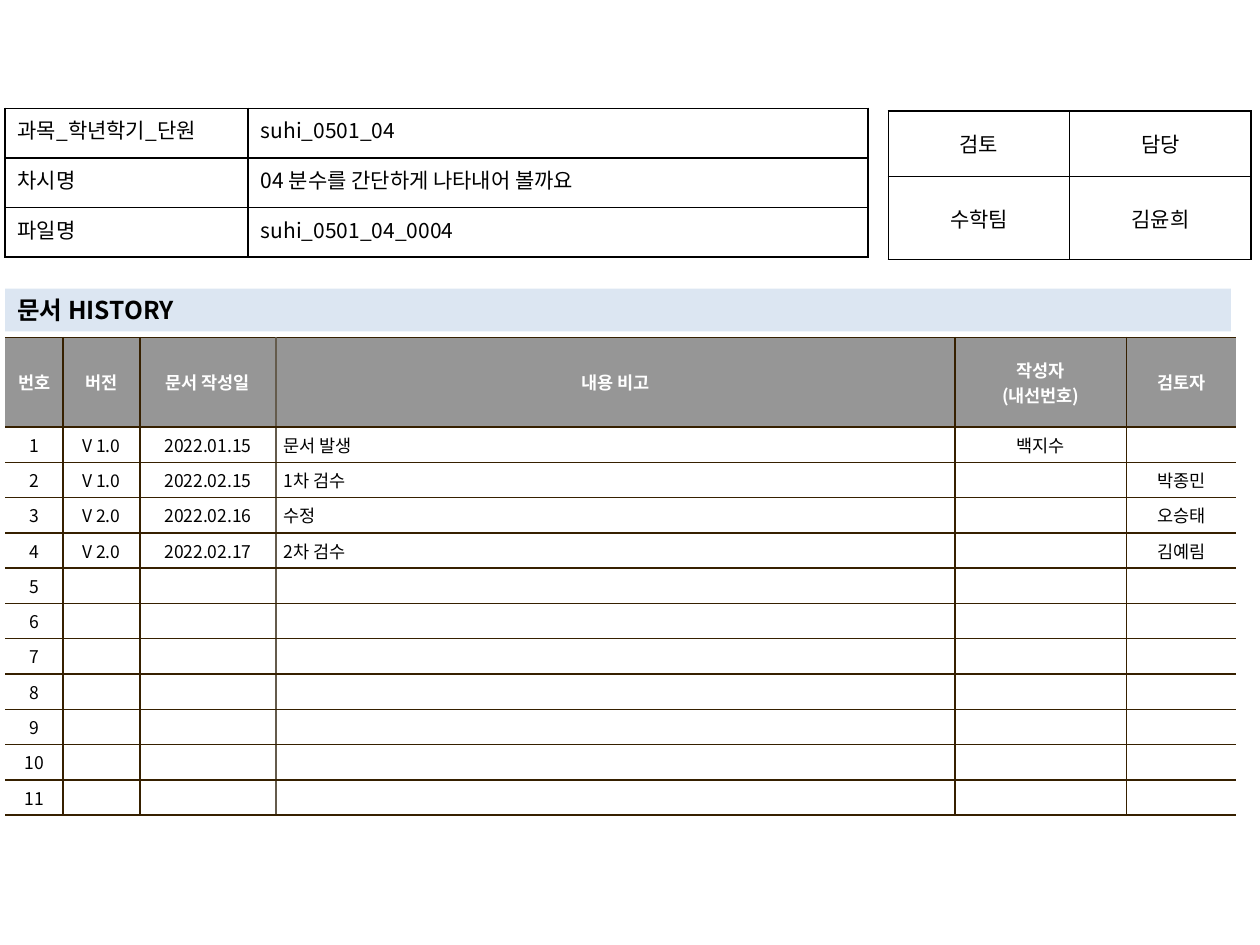
"""Build the document history slide with its title, approval and history tables."""
import dataclasses
import typing

import lxml.etree
import pptx
import pptx.dml.color
import pptx.enum.shapes
import pptx.enum.text
import pptx.oxml.ns
import pptx.util

Inches = pptx.util.Inches
Align = pptx.enum.text.PP_ALIGN
Anchor = pptx.enum.text.MSO_ANCHOR
FONT = "Noto Sans CJK KR"
COLORS = {
    "black": "000000",
    "white": "FFFFFF",
    "gray": "969696",
    "band": "DCE6F2",
    "brown": "362000",
    "taupe": "645B4C",
}


@dataclasses.dataclass
class Grid:
    left: float
    top: float
    cols: list[float]
    rows: list[float]
    cells: list[list[str]]
    aligns: list[typing.Any]
    line: str = "black"
    size: int = 12
    inset: tuple[float, float] = (0.1, 0.05)
    anchor: typing.Any = Anchor.MIDDLE
    fill: str = ""
    head: str = ""
    open: bool = False
    seam: int = -1


def tint(name: str) -> pptx.dml.color.RGBColor:
    return pptx.dml.color.RGBColor.from_string(COLORS[name])


def write(frame, text: str, size: int = 12, color: str = "black",
          bold: bool = False, align=Align.LEFT) -> None:
    for i, line in enumerate(text.split("\n")):
        para = frame.add_paragraph() if i else frame.paragraphs[0]
        para.alignment = align
        if not line:
            tag = pptx.oxml.ns.qn("a:endParaRPr")
            lxml.etree.SubElement(para._p, tag, sz=str(size * 100))
            continue
        run = para.add_run()
        run.text = line
        font = run.font
        font.name, font.size, font.bold = FONT, pptx.util.Pt(size), bold
        font.color.rgb = tint(color)
        tag = pptx.oxml.ns.qn("a:ea")
        lxml.etree.SubElement(font._element, tag, typeface=FONT)


def edge(cell, side: str, color: str) -> None:
    qn = pptx.oxml.ns.qn
    props = cell._tc.get_or_add_tcPr()
    line = lxml.etree.SubElement(props, qn(f"a:ln{side}"), w="12700")
    if color:
        fill = lxml.etree.SubElement(line, qn("a:solidFill"))
        lxml.etree.SubElement(fill, qn("a:srgbClr"), val=COLORS[color])
    else:
        lxml.etree.SubElement(line, qn("a:noFill"))


def border(cell, grid: Grid, col: int) -> None:
    last = len(grid.cols) - 1
    for side, end, seam in (("L", 0, grid.seam + 1), ("R", last, grid.seam)):
        color = grid.line
        if grid.open and col == end:
            color = ""
        elif grid.seam >= 0 and col == seam:
            color = "taupe"
        edge(cell, side, color)
    for side in "TB":
        edge(cell, side, grid.line)


def draw(slide, grid: Grid) -> None:
    shape = slide.shapes.add_table(
        len(grid.rows), len(grid.cols), Inches(grid.left), Inches(grid.top),
        Inches(sum(grid.cols)), Inches(sum(grid.rows)))
    table = shape.table
    table.first_row = table.horz_banding = False
    for i, width in enumerate(grid.cols):
        table.columns[i].width = Inches(width)
    for r, height in enumerate(grid.rows):
        table.rows[r].height = Inches(height)
        head = bool(grid.head) and r == 0
        fill = grid.head if head else grid.fill
        for c, text in enumerate(grid.cells[r]):
            cell = table.cell(r, c)
            side, cap = map(Inches, grid.inset)
            cell.margin_left = cell.margin_right = side
            cell.margin_top = cell.margin_bottom = cap
            cell.vertical_anchor = grid.anchor
            border(cell, grid, c)
            if fill:
                cell.fill.solid()
                cell.fill.fore_color.rgb = tint(fill)
            else:
                cell.fill.background()
            write(cell.text_frame, text, size=grid.size, bold=head,
                  color="white" if head else "black",
                  align=Align.CENTER if head else grid.aligns[c])


def banner(slide, text: str) -> None:
    shape = slide.shapes.add_shape(
        pptx.enum.shapes.MSO_SHAPE.RECTANGLE,
        Inches(0.04), Inches(2.29), Inches(9.73), Inches(0.34))
    shape.shadow.inherit = False
    shape.fill.solid()
    shape.fill.fore_color.rgb = tint("band")
    shape.line.fill.background()
    frame = shape.text_frame
    frame.word_wrap = True
    frame.vertical_anchor = Anchor.MIDDLE
    write(frame, text, size=14, bold=True)


def main() -> None:
    deck = pptx.Presentation()
    deck.slide_width, deck.slide_height = Inches(10), Inches(7.5)
    slide = deck.slides.add_slide(deck.slide_layouts[6])

    notes = [
        ["V 1.0", "2022.01.15", "문서 발생", "백지수", ""],
        ["V 1.0", "2022.02.15", "1차 검수", "", "박종민"],
        ["V 2.0", "2022.02.16", "수정", "", "오승태"],
        ["V 2.0", "2022.02.17", "2차 검수", "", "김예림"],
    ]
    count = 11
    notes += [[""] * 5] * (count - len(notes))
    titles = ["번호", "버전", "문서 작성일", "내용 비고",
              "작성자\n(내선번호)", "검토자"]
    log = [[str(i), *note] for i, note in enumerate(notes, 1)]
    mid = Align.CENTER

    draw(slide, Grid(
        0.04, 2.68, [0.46, 0.61, 1.08, 5.39, 1.36, 0.87],
        [0.71] + [0.28] * count, [titles, *log],
        [mid, mid, mid, Align.LEFT, mid, mid], line="brown", size=10,
        inset=(0.06, 0.04), fill="white", head="gray", open=True, seam=2))
    draw(slide, Grid(
        7.05, 0.88, [1.44] * 2, [0.52, 0.66],
        [["검토", "담당"], ["수학팀", "김윤희"]], [mid] * 2))
    banner(slide, "문서 HISTORY")
    draw(slide, Grid(
        0.04, 0.86, [1.93, 4.92], [1.18 / 3] * 3,
        [["과목_학년학기_단원", "suhi_0501_04"],
         ["차시명", "04 분수를 간단하게 나타내어 볼까요"],
         ["파일명", "suhi_0501_04_0004"]],
        [Align.JUSTIFY, Align.LEFT], anchor=Anchor.TOP))
    deck.save("out.pptx")


if __name__ == "__main__":
    main()
